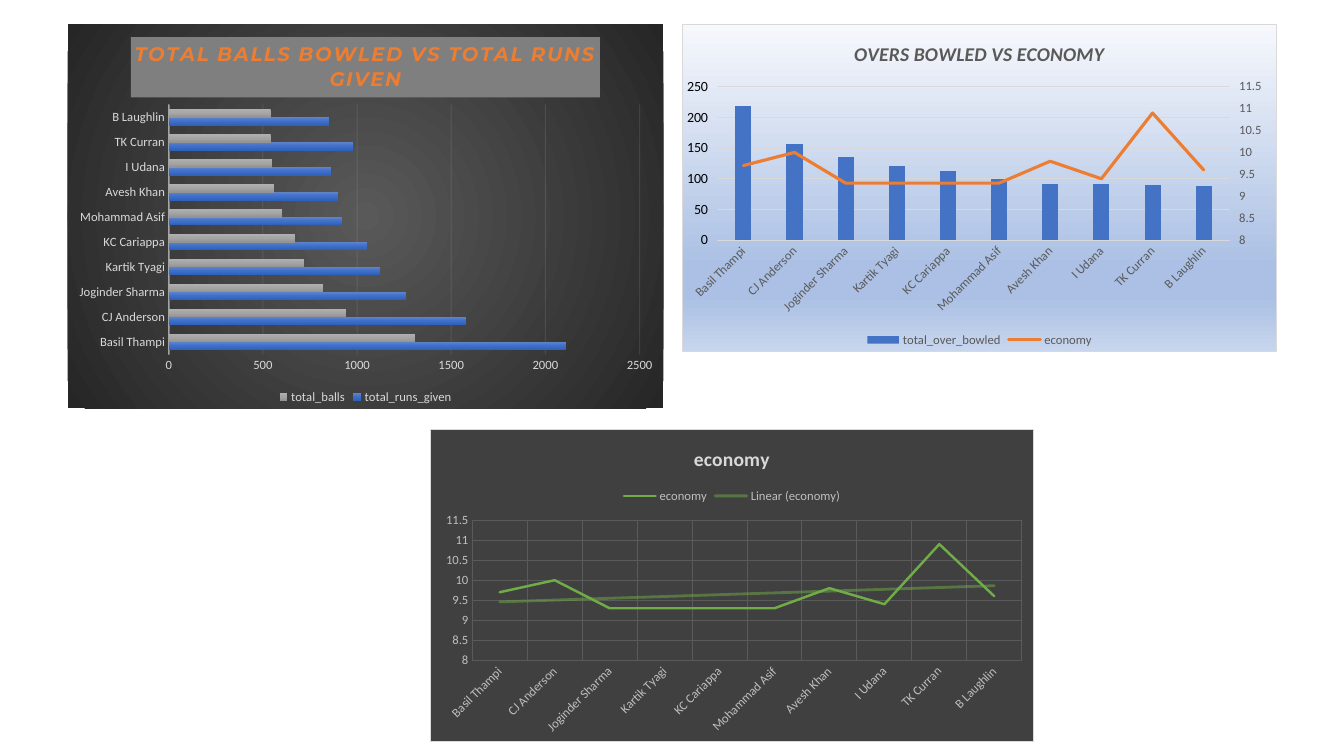
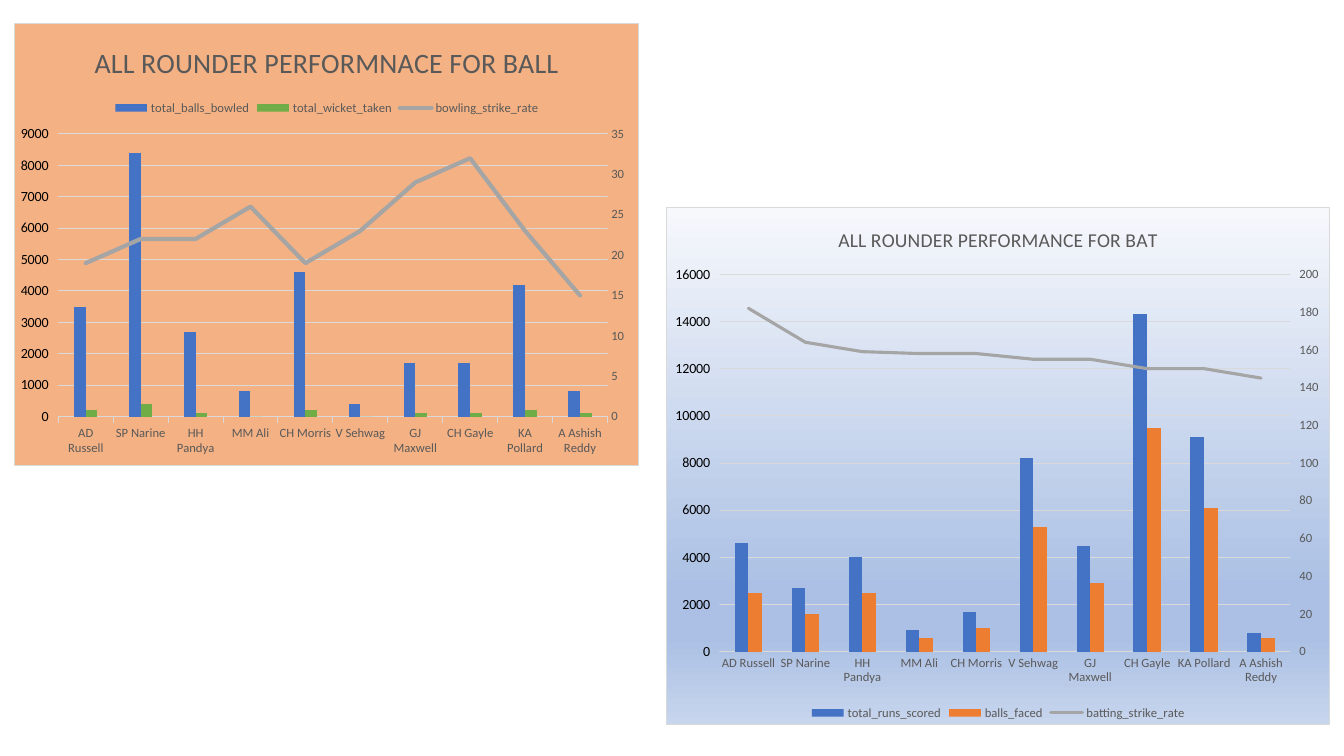
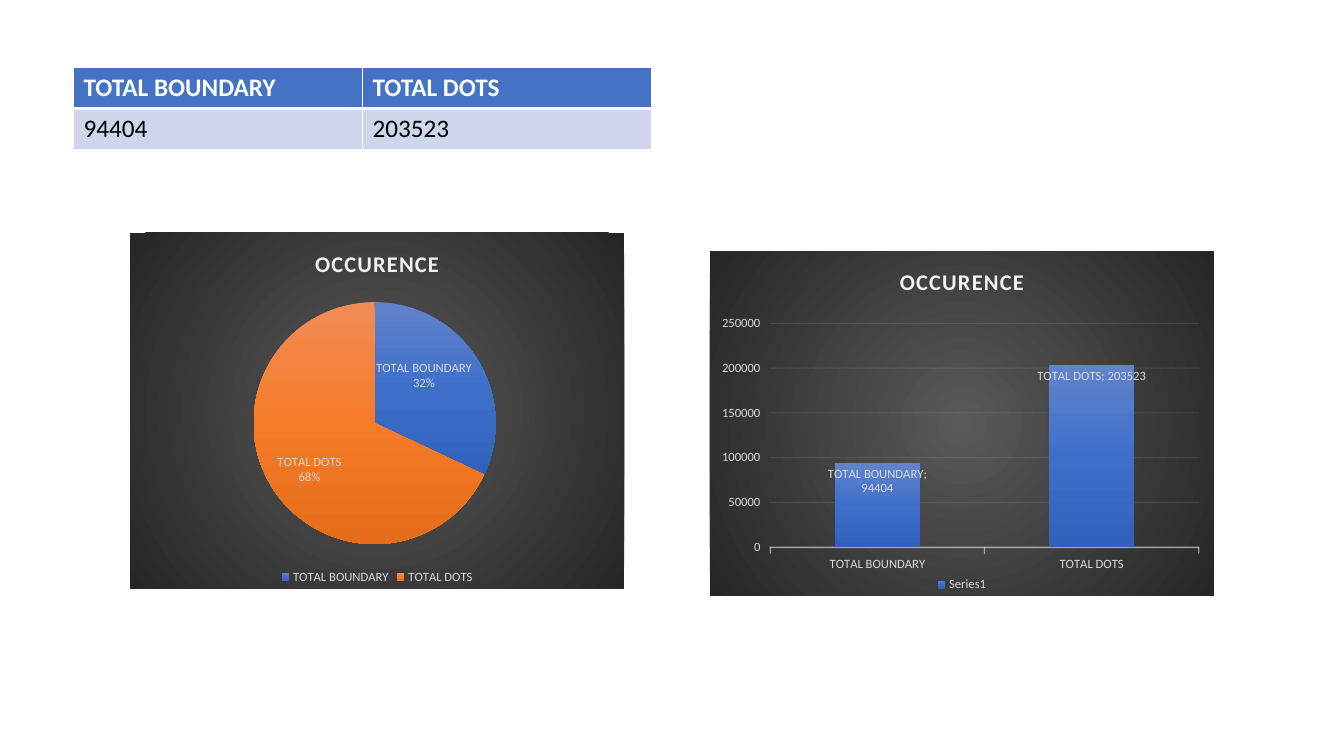
from dataclasses import dataclass
from typing import Optional

from pptx import Presentation
from pptx import util as u
from pptx.chart import axis as ax
from pptx.chart.data import CategoryChartData
from pptx.dml.color import RGBColor
from pptx.enum import chart as ch
from pptx.oxml import parse_xml
from pptx.oxml.ns import nsdecls, qn


# Theme
class Theme:
    font, display_font = "Calibri", "Montserrat"
    base, label, heading, heading_dark, heading_big, table = 10, 9, 14, 16, 20, 18
    white, black = "FFFFFF", "000000"
    blue, orange, green, grey = "4472C4", "ED7D31", "70AD47", "A5A5A5"
    title_box, pale_blue = "7F7F7F", "CFD5EA"
    dark_text, rule = "595959", "D9D9D9"
    blue_fade = [(0, "6183CB"), (50, "3E70CA"), (100, "3062BB")]
    grey_fade = [(0, "AFAFAF"), (50, "A5A5A5"), (100, "939393")]
    orange_fade = [(0, "F18C57"), (50, "F67B28"), (100, "E56C19")]


@dataclass
class Look:
    """Background, text and rules shared by charts of one style."""
    fill: object
    text: str
    title: str
    axis_line: Optional[tuple]
    grid: tuple
    border: Optional[tuple] = (Theme.rule, 0.75)
    circular: bool = False


LIGHT_RULE = (Theme.rule, 0.75)
SKY = Look([(0, "F6F8FC"), (74, "ABC0E4"), (83, "ABC0E4"), (100, "C7D5ED")],
           Theme.dark_text, Theme.dark_text, LIGHT_RULE, LIGHT_RULE)
PEACH = Look("F4B183", Theme.dark_text, Theme.dark_text, LIGHT_RULE, LIGHT_RULE)
SLATE = Look("404040", "BFBFBF", "D9D9D9", None, ("5A5A5A", 0.75))
NIGHT = Look([(0, "595959"), (100, "262626")], "D9D9D9", "F2F2F2",
             ("F2F2F2", 1, 54), ("F2F2F2", 0.75, 10), border=None, circular=True)


@dataclass
class ChartSpec:
    title: str
    at: tuple
    plot: tuple              # inner plot area, as shares of the chart
    kind: object
    look: Look
    cats: list
    series: list             # (name, colour or fade, values)
    scale: Optional[tuple] = None         # low, high, step
    right_scale: Optional[tuple] = None   # puts the last series on a right axis
    line_width: float = 2.25
    gap: int = 150
    size: int = Theme.heading
    bold: bool = False
    italic: bool = False
    spacing: int = 0
    title_font: str = Theme.font
    title_color: Optional[str] = None
    title_fill: Optional[str] = None
    legend_top: bool = False
    slanted: bool = False
    ticks: tuple = (False, False, False)  # category, value, right
    minor_grid: bool = False
    category_grid: bool = False
    trend: Optional[str] = None
    labels: Optional[str] = None          # "percent" or "value"
    slices: tuple = ()


# Content
COLUMN, BAR = ch.XL_CHART_TYPE.COLUMN_CLUSTERED, ch.XL_CHART_TYPE.BAR_CLUSTERED
LINE, PIE = ch.XL_CHART_TYPE.LINE, ch.XL_CHART_TYPE.PIE
BOWLERS = ["Basil Thampi", "CJ Anderson", "Joginder Sharma", "Kartik Tyagi",
           "KC Cariappa", "Mohammad Asif", "Avesh Khan", "I Udana", "TK Curran",
           "B Laughlin"]
ALL_ROUNDERS = ["AD Russell", "SP Narine", "HH Pandya", "MM Ali", "CH Morris",
                "V Sehwag", "GJ Maxwell", "CH Gayle", "KA Pollard", "A Ashish Reddy"]
OUTCOMES = ["TOTAL BOUNDARY", "TOTAL DOTS"]
OUTCOME_COUNTS = [94404, 203523]
ECONOMY = [9.7, 10, 9.3, 9.3, 9.3, 9.3, 9.8, 9.4, 10.9, 9.6]
ECONOMY_SCALE = (8, 11.5, 0.5)

BOWLING = [
    ChartSpec("TOTAL BALLS BOWLED VS TOTAL RUNS GIVEN", (0.67, 0.24, 5.91, 3.81),
              (0.17, 0.21, 0.79, 0.65), BAR, NIGHT, BOWLERS,
              [("total_runs_given", Theme.blue_fade,
                [2110, 1580, 1260, 1120, 1050, 920, 900, 860, 980, 850]),
               ("total_balls", Theme.grey_fade,
                [1310, 940, 820, 720, 670, 600, 560, 550, 540, 540])],
              scale=(0, 2500, 500), gap=115, bold=True, italic=True, spacing=100,
              title_font=Theme.display_font, title_color=Theme.orange,
              title_fill=Theme.title_box),
    ChartSpec("OVERS BOWLED VS ECONOMY", (6.76, 0.24, 5.91, 3.25),
              (0.06, 0.19, 0.86, 0.47), COLUMN, SKY, BOWLERS,
              [("total_over_bowled", Theme.blue,
                [218, 157, 136, 120, 112, 99, 92, 91, 90, 89]),
               ("economy", Theme.orange, ECONOMY)],
              scale=(0, 250, 50), right_scale=ECONOMY_SCALE, gap=219, bold=True,
              italic=True, slanted=True, ticks=(False, False, True)),
    ChartSpec("economy", (4.26, 4.26, 6, 3.1), (0.07, 0.29, 0.91, 0.45), LINE, SLATE,
              BOWLERS, [("economy", Theme.green, ECONOMY)], scale=ECONOMY_SCALE,
              line_width=1.75, bold=True, legend_top=True, slanted=True,
              category_grid=True, trend="Linear (economy)"),
]
ALL_ROUND = [
    ChartSpec("ALL ROUNDER PERFORMNACE FOR BALL", (0.14, 0.23, 6.2, 4.39),
              (0.07, 0.25, 0.88, 0.64), COLUMN, PEACH, ALL_ROUNDERS,
              [("total_balls_bowled", Theme.blue,
                [3500, 8400, 2700, 800, 4600, 400, 1700, 1700, 4200, 800]),
               ("total_wicket_taken", Theme.green,
                [200, 400, 100, 0, 200, 0, 100, 100, 200, 100]),
               ("bowling_strike_rate", Theme.grey,
                [19, 22, 22, 26, 19, 23, 29, 32, 23, 15])],
              scale=(0, 9000, 1000), right_scale=(0, 35, 5), line_width=3, gap=269,
              size=Theme.heading_big, legend_top=True, minor_grid=True,
              ticks=(True, False, False)),
    ChartSpec("ALL ROUNDER PERFORMANCE FOR BAT", (6.61, 2.05, 6.58, 5.14),
              (0.08, 0.13, 0.86, 0.73), COLUMN, SKY, ALL_ROUNDERS,
              [("total_runs_scored", Theme.blue,
                [4600, 2700, 4000, 900, 1700, 8200, 4500, 14300, 9100, 800]),
               ("balls_faced", Theme.orange,
                [2500, 1600, 2500, 600, 1000, 5300, 2900, 9500, 6100, 600]),
               ("batting_strike_rate", Theme.grey,
                [182, 164, 159, 158, 158, 155, 155, 150, 150, 145])],
              scale=(0, 16000, 2000), right_scale=(0, 200, 20), gap=219,
              ticks=(False, False, True)),
]
OCCURRENCE = [
    ChartSpec("OCCURENCE", (1.29, 2.31, 4.9, 3.53), (0.25, 0.19, 0.49, 0.69), PIE,
              NIGHT, OUTCOMES, [("Series 1", None, [32, 68])],
              size=Theme.heading_dark, bold=True, spacing=100, labels="percent",
              slices=(Theme.blue_fade, Theme.orange_fade)),
    ChartSpec("OCCURENCE", (7.04, 2.49, 5, 3.42), (0.12, 0.21, 0.85, 0.65), COLUMN,
              NIGHT, OUTCOMES, [("Series1", Theme.blue_fade, OUTCOME_COUNTS)],
              scale=(0, 250000, 50000), size=Theme.heading_dark, bold=True,
              spacing=100, labels="value", ticks=(True, True, False)),
]
TABLE_AT = (0.73, 0.67, 5.73, 0.8)


# Drawing XML
def solid_xml(color, alpha=100):
    return (f'<a:solidFill><a:srgbClr val="{color}"><a:alpha val="{alpha * 1000}"/>'
            f'</a:srgbClr></a:solidFill>')


def fill_xml(fill, circular=False):
    if isinstance(fill, str):
        return solid_xml(fill)
    stops = "".join(f'<a:gs pos="{pos * 1000}"><a:srgbClr val="{color}"/></a:gs>'
                    for pos, color in fill)
    direction = ('<a:path path="circle"><a:fillToRect l="50000" t="50000" r="50000" '
                 'b="50000"/></a:path>' if circular
                 else '<a:lin ang="5400000" scaled="0"/>')
    return f'<a:gradFill rotWithShape="1"><a:gsLst>{stops}</a:gsLst>{direction}</a:gradFill>'


def line_xml(line, tag="ln"):
    if line is None:
        return f'<a:{tag}><a:noFill/></a:{tag}>'
    color, width, *alpha = line
    return f'<a:{tag} w="{u.Pt(width)}" cap="rnd">{solid_xml(color, *alpha)}</a:{tag}>'


def properties(fill=None, line=None, circular=False):
    body = (fill_xml(fill, circular) if fill else "") + line_xml(line)
    return parse_xml(f'<c:spPr {nsdecls("c", "a")}>{body}</c:spPr>')


def paint(owner, **style):
    owner.replace(owner.get_or_add_spPr(), properties(**style))


# Chart parts
def set_font(font, size, color, bold=False, italic=False, name=Theme.font):
    font.size, font.name, font.bold, font.italic = u.Pt(size), name, bold, italic
    font.color.rgb = RGBColor.from_string(color)


def move_last_series_right(chart):
    plot_area = next(chart.element.iter(qn("c:plotArea")))
    line_plot = parse_xml(
        f'<c:lineChart {nsdecls("c")}><c:grouping val="standard"/><c:varyColors val="0"/>'
        '<c:marker val="1"/><c:axId val="501"/><c:axId val="502"/></c:lineChart>')
    rate = list(plot_area.iter(qn("c:ser")))[-1]
    for bar_only in rate.findall(qn("c:invertIfNegative")):
        rate.remove(bar_only)
    line_plot.insert(2, rate)
    plot_area.find(qn("c:barChart")).addnext(line_plot)
    anchor = plot_area.find(qn("c:valAx"))
    for tag, own, other, hidden, side, crosses in (
            ("valAx", 502, 501, 0, "r", "max"), ("catAx", 501, 502, 1, "b", "autoZero")):
        anchor.addnext(parse_xml(
            f'<c:{tag} {nsdecls("c")}><c:axId val="{own}"/><c:scaling>'
            f'<c:orientation val="minMax"/></c:scaling><c:delete val="{hidden}"/>'
            f'<c:axPos val="{side}"/><c:majorTickMark val="none"/>'
            f'<c:minorTickMark val="none"/><c:tickLblPos val="nextTo"/>'
            f'<c:crossAx val="{other}"/><c:crosses val="{crosses}"/></c:{tag}>'))


def format_axis(axis, element, spec, ticks, line=None, scale=None):
    axis.major_tick_mark = ch.XL_TICK_MARK.OUTSIDE if ticks else ch.XL_TICK_MARK.NONE
    axis.minor_tick_mark = ch.XL_TICK_MARK.NONE
    set_font(axis.tick_labels.font, Theme.label, spec.look.text)
    if scale:
        axis.minimum_scale, axis.maximum_scale, axis.major_unit = scale
    paint(element, line=line)


def format_axes(chart, spec):
    category = next(chart.element.iter(qn("c:catAx")))
    values = list(chart.element.iter(qn("c:valAx")))
    format_axis(chart.category_axis, category, spec, spec.ticks[0], spec.look.axis_line)
    format_axis(chart.value_axis, values[0], spec, spec.ticks[1], scale=spec.scale)
    if spec.right_scale:
        format_axis(ax.ValueAxis(values[1]), values[1], spec, spec.ticks[2],
                    scale=spec.right_scale)
    if spec.slanted:
        next(category.iter(qn("a:bodyPr"))).set("rot", "-2700000")
    chart.value_axis.has_major_gridlines = True
    chart.value_axis.has_minor_gridlines = spec.minor_grid
    chart.category_axis.has_major_gridlines = spec.category_grid
    for tag in ("c:majorGridlines", "c:minorGridlines"):
        for grid in chart.element.iter(qn(tag)):
            grid.append(properties(line=spec.look.grid))


def format_series(chart, spec):
    elements = list(chart.element.iter(qn("c:ser")))
    for element, (_, color, _) in zip(elements, spec.series):
        if element.getparent().tag == qn("c:lineChart"):
            paint(element, line=(color, spec.line_width))
        elif color:
            paint(element, fill=color)
    for index, fade in enumerate(spec.slices):
        paint(elements[0].get_or_add_dPt_for_point(index), fill=fade)
    for plot in chart.plots:
        plot.vary_by_categories = bool(spec.slices)
        if hasattr(plot, "gap_width"):
            plot.gap_width = spec.gap
        for series in plot.series:
            if hasattr(series, "smooth"):
                series.smooth = False
                series.marker.style = ch.XL_MARKER_STYLE.NONE
    if spec.trend:
        trend_line = line_xml((spec.series[0][1], 2, 50))
        elements[0].find(qn("c:cat")).addprevious(parse_xml(
            f'<c:trendline {nsdecls("c", "a")}><c:name>{spec.trend}</c:name>'
            f'<c:spPr>{trend_line}</c:spPr><c:trendlineType val="linear"/>'
            '<c:dispRSqr val="0"/><c:dispEq val="0"/></c:trendline>'))


def add_labels(chart, spec):
    labels = chart.plots[0].series[0].data_labels
    set_font(labels.font, Theme.label, spec.look.text)
    labels.show_category_name = True
    labels.show_percentage = spec.labels == "percent"
    labels.show_value = spec.labels == "value"
    labels.position = ch.XL_LABEL_POSITION.INSIDE_END
    separator = "\n" if spec.labels == "percent" else "; "
    next(chart.element.iter(qn("c:showBubbleSize"))).addnext(parse_xml(
        f'<c:separator {nsdecls("c")}>{separator}</c:separator>'))


def add_title(chart, spec):
    chart.has_title = True
    run = chart.chart_title.text_frame.paragraphs[0].add_run()
    run.text = spec.title
    set_font(run.font, spec.size, spec.title_color or spec.look.title, spec.bold,
             spec.italic, spec.title_font)
    title = next(chart.element.iter(qn("c:title")))
    next(title.iter(qn("a:rPr"))).set("spc", str(spec.spacing))
    if spec.title_fill:
        chart.chart_title.format.fill.solid()
        chart.chart_title.format.fill.fore_color.rgb = RGBColor.from_string(spec.title_fill)


def place_plot(chart, spec):
    sizes = "".join(f'<c:{key} val="{share}"/>' for key, share in zip("xywh", spec.plot))
    plot_area = next(chart.element.iter(qn("c:plotArea")))
    for automatic in plot_area.findall(qn("c:layout")):
        plot_area.remove(automatic)
    plot_area.insert(0, parse_xml(
        f'<c:layout {nsdecls("c")}><c:manualLayout><c:layoutTarget val="inner"/>'
        f'<c:xMode val="edge"/><c:yMode val="edge"/>{sizes}</c:manualLayout></c:layout>'))


def add_chart(slide, spec):
    data = CategoryChartData()
    data.categories = spec.cats
    for name, _, values in spec.series:
        data.add_series(name, values)
    chart = slide.shapes.add_chart(spec.kind, *map(u.Inches, spec.at), data).chart
    set_font(chart.font, Theme.base, Theme.black)
    if spec.right_scale:
        move_last_series_right(chart)
    add_title(chart, spec)
    chart.has_legend = True
    chart.legend.include_in_layout = False
    position = ch.XL_LEGEND_POSITION
    chart.legend.position = position.TOP if spec.legend_top else position.BOTTOM
    set_font(chart.legend.font, Theme.label, spec.look.text)
    if spec.scale:
        format_axes(chart, spec)
    format_series(chart, spec)
    if spec.labels:
        add_labels(chart, spec)
    place_plot(chart, spec)
    chart.element.find(qn("c:chart")).addnext(
        properties(spec.look.fill, spec.look.border, spec.look.circular))


# Table of totals
def add_totals(slide):
    frame = slide.shapes.add_table(2, 2, *map(u.Inches, TABLE_AT))
    for row, entries in enumerate([OUTCOMES, OUTCOME_COUNTS]):
        header = row == 0
        for column, entry in enumerate(entries):
            cell = frame.table.cell(row, column)
            run = cell.text_frame.paragraphs[0].add_run()
            run.text = str(entry)
            set_font(run.font, Theme.table, Theme.white if header else Theme.black, header)
            cell.fill.solid()
            cell.fill.fore_color.rgb = RGBColor.from_string(
                Theme.blue if header else Theme.pale_blue)
    for index, cell_style in enumerate(frame.element.iter(qn("a:tcPr"))):
        header = index < len(OUTCOMES)
        widths = {"lnL": 1, "lnR": 1, "lnT": 1 if header else 3, "lnB": 3 if header else 1}
        borders = parse_xml(f'<a:tcPr {nsdecls("a")}>' + "".join(
            line_xml((Theme.white, width), tag) for tag, width in widths.items())
            + '</a:tcPr>')
        for place, border in enumerate(list(borders)):
            cell_style.insert(place, border)


def main():
    deck = Presentation()
    deck.slide_width, deck.slide_height = u.Inches(13.33), u.Inches(7.5)
    for specs in (BOWLING, ALL_ROUND, OCCURRENCE):
        slide = deck.slides.add_slide(deck.slide_layouts[6])
        if specs is OCCURRENCE:
            add_totals(slide)
        for spec in specs:
            add_chart(slide, spec)
    deck.save("out.pptx")


if __name__ == "__main__":
    main()
